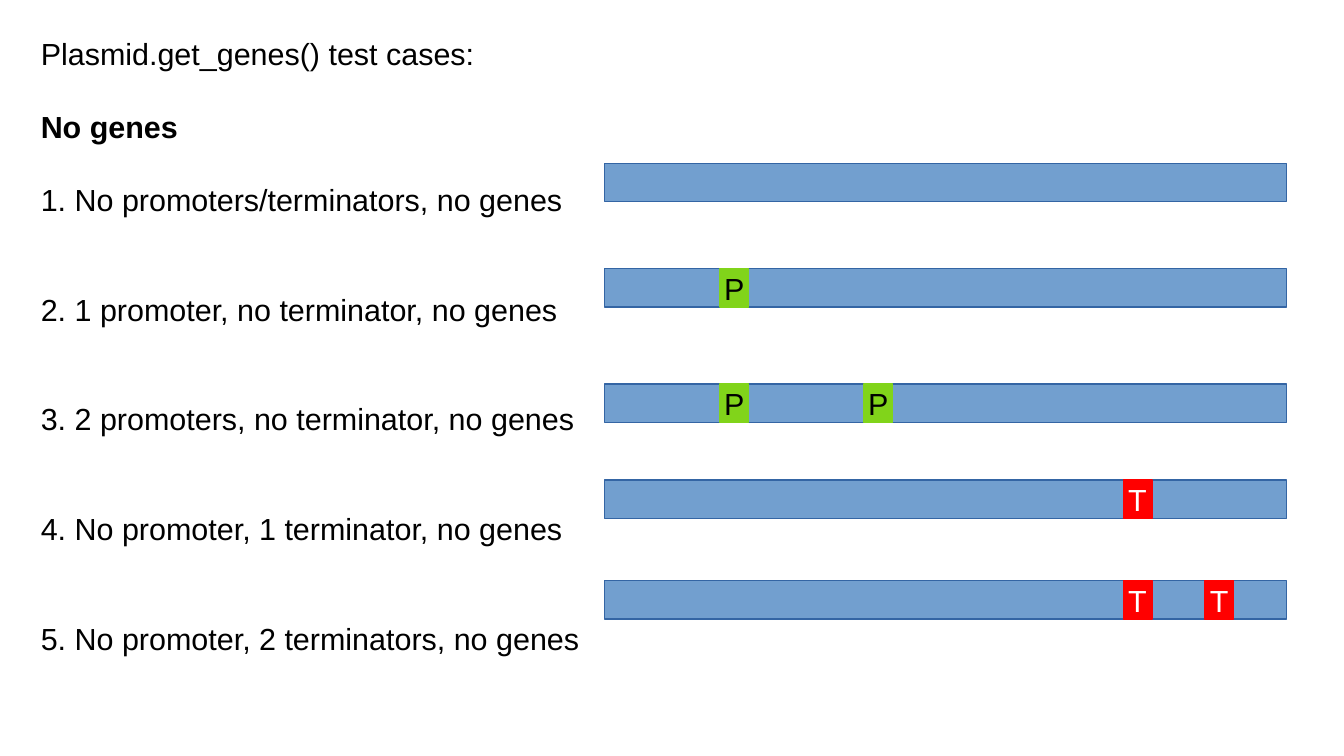
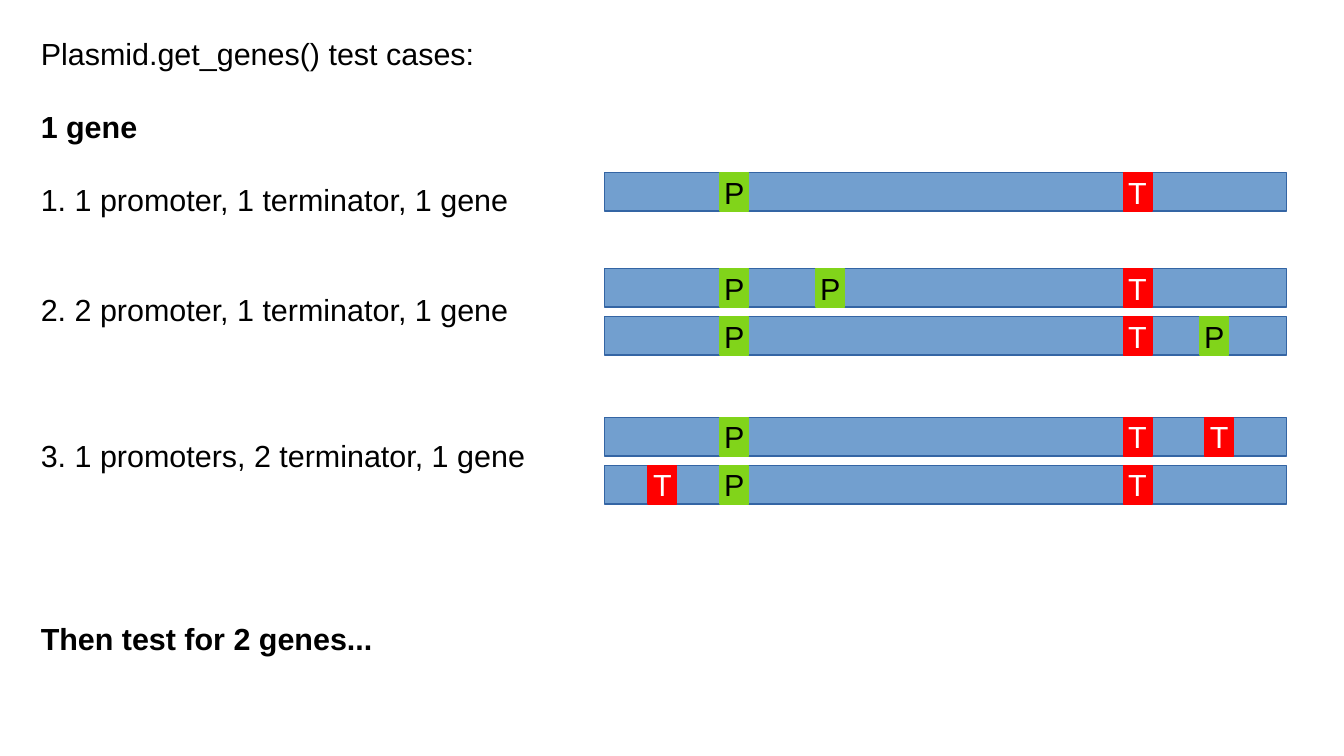
import pptx
import pptx.util
import pptx.dml.color
import pptx.enum.shapes
import pptx.enum.text

Cm, Pt = pptx.util.Cm, pptx.util.Pt
RGB = pptx.dml.color.RGBColor
ALIGN = pptx.enum.text.PP_ALIGN
ANCHOR = pptx.enum.text.MSO_ANCHOR
RECT = pptx.enum.shapes.MSO_SHAPE.RECTANGLE

BLACK, WHITE = RGB(0, 0, 0), RGB(255, 255, 255)
BLUE, NAVY = RGB(0x72, 0x9F, 0xCF), RGB(0x34, 0x65, 0xA4)
GREEN, RED = RGB(0x81, 0xD4, 0x1A), RGB(255, 0, 0)
FONT, SIZE, PITCH = "Arial", 18, 21.6

# Grid unit: one centimetre
WIDE, HIGH = 28, 15.75
EDGE = 0.6                           # left and top of the text
BAR_X, BAR_W, BAR_H = 12.6, 14.2, 0.8
MARK_W = 0.6
MARKS = {"P": (GREEN, BLACK), "T": (RED, WHITE)}
PRO, TERM, LATE = 15, 23.4, 25.1     # usual columns of the marks

TITLE = "Plasmid.get_genes() test cases:"

# lines: (text, rows down from the line above, bold)
# bars: (row, [(mark, column), ...])
SLIDES = [
    {
        "lines": [
            ("No genes", 2, True),
            ("1. No promoters/terminators, no genes", 2, False),
            ("2. 1 promoter, no terminator, no genes", 3, False),
            ("3. 2 promoters, no terminator, no genes", 3, False),
            ("4. No promoter, 1 terminator, no genes", 3, False),
            ("5. No promoter, 2 terminators, no genes", 3, False),
        ],
        "bars": [
            (3.4, []),
            (5.6, [("P", PRO)]),
            (8, [("P", PRO), ("P", 18)]),
            (10, [("T", TERM)]),
            (12.1, [("T", TERM), ("T", LATE)]),
        ],
    },
    {
        "lines": [
            ("1 gene", 2, True),
            ("1. 1 promoter, 1 terminator, 1 gene", 2, False),
            ("2. 2 promoter, 1 terminator, 1 gene", 3, False),
            ("3. 1 promoters, 2 terminator, 1 gene", 4, False),
            ("Then test for 2 genes...", 5, True),
        ],
        "bars": [
            (3.6, [("P", PRO), ("T", TERM)]),
            (5.6, [("P", PRO), ("P", 17), ("T", TERM)]),
            (6.6, [("P", PRO), ("T", TERM), ("P", 25)]),
            (8.7, [("P", PRO), ("T", TERM), ("T", LATE)]),
            (9.7, [("T", 13.5), ("P", PRO), ("T", TERM)]),
        ],
    },
]


def write(para, text, color=BLACK, bold=False, align=ALIGN.LEFT):
    run = para.add_run()
    run.text = text
    run.font.name, run.font.size = FONT, Pt(SIZE)
    run.font.bold, run.font.color.rgb = bold, color
    para.alignment = align


def block(slide, x, y, w, fill, line):
    box = slide.shapes.add_shape(RECT, Cm(x), Cm(y), Cm(w), Cm(BAR_H))
    box.shadow.inherit = False
    box.fill.solid()
    box.fill.fore_color.rgb = fill
    box.line.color.rgb = line
    box.line.width = Pt(0)
    return box


def mark(slide, kind, x, y):
    fill, ink = MARKS[kind]
    frame = block(slide, x, y, MARK_W, fill, fill).text_frame
    frame.margin_left = frame.margin_right = 0
    frame.word_wrap = False
    frame.vertical_anchor = ANCHOR.MIDDLE
    write(frame.paragraphs[0], kind, color=ink, align=ALIGN.CENTER)


def cases(slide, lines):
    rows = 1 + sum(step for _, step, _ in lines)
    box = slide.shapes.add_textbox(Cm(EDGE), Cm(EDGE), Cm(BAR_X - EDGE),
                                   Pt(rows * PITCH + 7.2))
    frame = box.text_frame
    frame.word_wrap = True
    para = frame.paragraphs[0]
    para.line_spacing = Pt(PITCH)
    write(para, TITLE)
    for text, step, bold in lines:
        para = frame.add_paragraph()
        para.line_spacing = Pt(PITCH)
        para.space_before = Pt((step - 1) * PITCH)
        write(para, text, bold=bold)


def main():
    deck = pptx.Presentation()
    deck.slide_width, deck.slide_height = Cm(WIDE), Cm(HIGH)
    for page in SLIDES:
        slide = deck.slides.add_slide(deck.slide_layouts[6])
        cases(slide, page["lines"])
        for y, marks in page["bars"]:
            block(slide, BAR_X, y, BAR_W, BLUE, NAVY)
            for kind, x in marks:
                mark(slide, kind, x, y)
    deck.save("out.pptx")


if __name__ == "__main__":
    main()
